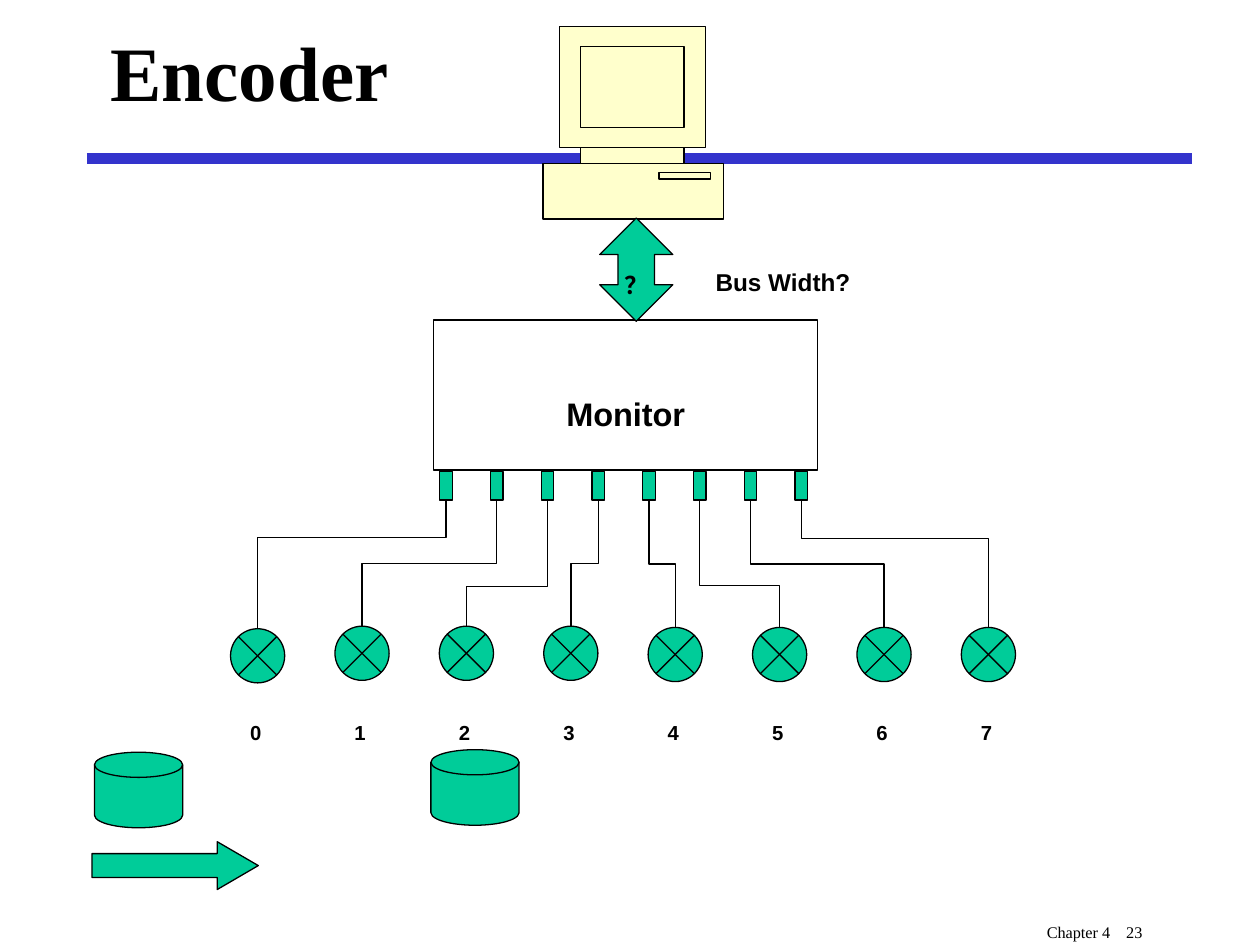
from lxml import etree
from pptx import Presentation
from pptx.dml import color
from pptx.enum import shapes, text
from pptx.oxml import ns
from pptx.util import Inches, Pt

COLORS = {"ink": "000000", "rule": "3333CC", "green": "00CC99", "cream": "FFFFCC"}
LAMP_TOPS = [4.99, 4.97, 4.97, 4.97, 4.98, 4.98, 4.98, 4.98]
BENDS = [0.711, 0.499, 0.314, 0.5, 0.5, 0.329, 0.499, 0.698]
LAMP_LEFT, LAMP_STEP, LAMP_SIZE = 1.83, (7.63 - 1.83) / 7, 0.43
PIN_WIDTH, PIN_HEIGHT, PIN_STEP = 0.1, 0.23, (6.31 - 3.49) / 7
KIND = shapes.MSO_SHAPE


def rgb(name):
    """Return the named colour."""
    return color.RGBColor.from_string(COLORS[name])


def style(shape, fill=None):
    """Give a shape its fill and thin outline."""
    shape.shadow.inherit = False
    if fill:
        shape.fill.solid()
        shape.fill.fore_color.rgb = rgb(fill)
    else:
        shape.fill.background()
    shape.line.color.rgb = rgb("ink")
    shape.line.width = Pt(0.75)
    return shape


def add_shape(slide, kind, box, fill=None, adjustments=()):
    """Add a styled preset shape."""
    shape = slide.shapes.add_shape(kind, *map(Inches, box))
    for index, value in enumerate(adjustments):
        shape.adjustments[index] = value
    return style(shape, fill)


def write(frame, words, size=20, font="Arial", bold=True, lowered=True,
          align=text.PP_ALIGN.CENTER, anchor=text.MSO_ANCHOR.TOP,
          wrap=True, grow=False, tab=None):
    """Write one formatted paragraph in a text frame."""
    frame.word_wrap = wrap
    frame.vertical_anchor = anchor
    if grow:
        frame.auto_size = text.MSO_AUTO_SIZE.SHAPE_TO_FIT_TEXT
    paragraph = frame.paragraphs[0]
    paragraph.alignment = align
    if tab:
        stops = etree.SubElement(paragraph._p.get_or_add_pPr(), ns.qn("a:tabLst"))
        etree.SubElement(stops, ns.qn("a:tab"), pos=str(Inches(tab)), algn="l")
    run = paragraph.add_run()
    run.text = words
    run.font.size = Pt(size)
    run.font.name = font
    run.font.bold = bold
    run.font.color.rgb = rgb("ink")
    if lowered:
        run._r.get_or_add_rPr().set("baseline", "-25000")


def add_text(slide, box, words, **formatting):
    """Add a text box."""
    label = slide.shapes.add_textbox(*map(Inches, box))
    write(label.text_frame, words, **formatting)


def add_line(slide, kind, start, end, ink, width):
    """Add a connector without a shadow."""
    line = slide.shapes.add_connector(kind, *map(Inches, (*start, *end)))
    line.line.color.rgb = rgb(ink)
    line.line.width = Pt(width)
    etree.SubElement(line._element.spPr, ns.qn("a:effectLst"))
    return line


def add_wire(slide, lamp, pin, bend):
    """Run a vertical-first elbow from a lamp up to a pin."""
    (x1, y1), (x2, y2) = lamp, pin
    middle_x, middle_y = (x1 + x2) / 2, (y1 + y2) / 2
    side = 1 if x1 < x2 else -1
    half_length, half_height = side * (y1 - y2) / 2, abs(x2 - x1) / 2
    wire = add_line(slide, shapes.MSO_CONNECTOR.ELBOW,
                    (middle_x - half_length, middle_y - half_height),
                    (middle_x + half_length, middle_y + half_height), "ink", 0.75)
    properties = wire._element.spPr
    properties.find(ns.qn("a:xfrm")).set("rot", str((270 if side > 0 else 90) * 60000))
    geometry = properties.find(ns.qn("a:prstGeom"))
    guides = geometry.find(ns.qn("a:avLst"))
    if guides is None:
        guides = etree.SubElement(geometry, ns.qn("a:avLst"))
    etree.SubElement(guides, ns.qn("a:gd"), name="adj1", fmla=f"val {round(bend * 100000)}")


def add_frame(slide):
    """Place the title rule and the footer."""
    add_line(slide, shapes.MSO_CONNECTOR.STRAIGHT, (0.69, 1.26), (9.46, 1.26), "rule", 6)
    add_text(slide, (8.21, 7.12, 1.78, 0.38), "Chapter 4\t23", size=16, bold=False,
             font="Times New Roman", align=text.PP_ALIGN.LEFT, tab=0.63)


def add_monitor(slide, left, top, width, height):
    """Place the monitor, its pins, the lamps and their wires."""
    monitor = add_shape(slide, KIND.RECTANGLE, (left, top, width, height))
    write(monitor.text_frame, "Monitor", size=32, anchor=text.MSO_ANCHOR.MIDDLE)
    pin_top = top + height + 0.01
    for number, (lamp_top, bend) in enumerate(zip(LAMP_TOPS, BENDS)):
        lamp_left = LAMP_LEFT + number * LAMP_STEP
        pin_left = left + 0.05 + number * PIN_STEP
        add_shape(slide, KIND.FLOWCHART_SUMMING_JUNCTION,
                  (lamp_left, lamp_top, LAMP_SIZE, LAMP_SIZE), "green")
        add_shape(slide, KIND.RECTANGLE, (pin_left, pin_top, PIN_WIDTH, PIN_HEIGHT), "green")
        add_wire(slide, (lamp_left + LAMP_SIZE / 2, lamp_top),
                 (pin_left + PIN_WIDTH / 2, pin_top + PIN_HEIGHT), bend)
        add_text(slide, (lamp_left + 0.02, 5.48, 0.36, 0.43), str(number),
                 wrap=False, grow=True)


def add_computer(slide, left, top, width, height):
    """Draw the computer with its screen, neck and drive slot."""
    right, bottom = left + width, top + height
    case_top, neck_top = top + 1.09, top + 0.96
    outline = [(right - 0.31, case_top), (right - 0.31, neck_top),
               (right - 0.14, neck_top), (right - 0.14, top),
               (left + 0.13, top), (left + 0.13, neck_top),
               (left + 0.3, neck_top), (left + 0.3, case_top),
               (left, case_top), (left, bottom), (right, bottom), (right, case_top)]
    points = [(Inches(x), Inches(y)) for x, y in outline]
    builder = slide.shapes.build_freeform(*points[0])
    builder.add_line_segments(points[1:], close=True)
    style(builder.convert_to_shape(), "cream")
    for x, y, part_width, part_height in ((0.3, 0.16, 0.82, 0.64), (0.3, 0.96, 0.82, 0.13),
                                          (0.92, 1.16, 0.41, 0.05)):
        add_shape(slide, KIND.RECTANGLE, (left + x, top + y, part_width, part_height), "cream")


def add_bus(slide, left, top, width, height):
    """Place the bus arrow and its questions."""
    add_shape(slide, KIND.UP_DOWN_ARROW, (left, top, width, height), "green", (0.281, 0.5))
    add_text(slide, (left + 0.42, top + 0.12, 2.07, 0.5), "Bus Width?",
             size=24, wrap=False, grow=True)
    add_text(slide, (left + 0.1, top + 0.14, 0.39, 0.5), "？", size=24, grow=True)


def add_storage(slide, left, top, width, height):
    """Place the two disks and the arrow below them."""
    for x, y in ((left, top), (left + 2.67, top - 0.02)):
        add_shape(slide, KIND.FLOWCHART_MAGNETIC_DISK, (x, y, width, height), "green")
    add_shape(slide, KIND.RIGHT_ARROW, (left - 0.02, top + 0.71, 1.32, 0.38),
              "green", (0.5, 0.859))


def main():
    """Build the encoder slide."""
    deck = Presentation()
    deck.slide_width, deck.slide_height = Inches(10), Inches(7.5)
    slide = deck.slides.add_slide(deck.slide_layouts[6])
    add_frame(slide)
    add_monitor(slide, 3.44, 2.54, 3.05, 1.19)
    add_computer(slide, 4.31, 0.21, 1.43, 1.53)
    add_bus(slide, 4.76, 1.73, 0.58, 0.82)
    add_storage(slide, 0.75, 5.97, 0.7, 0.6)
    add_text(slide, (0.78, 0, 8.5, 1.12), "Encoder", size=44, font="Times New Roman",
             lowered=False, align=text.PP_ALIGN.LEFT, anchor=text.MSO_ANCHOR.MIDDLE)
    deck.save("out.pptx")


if __name__ == "__main__":
    main()
